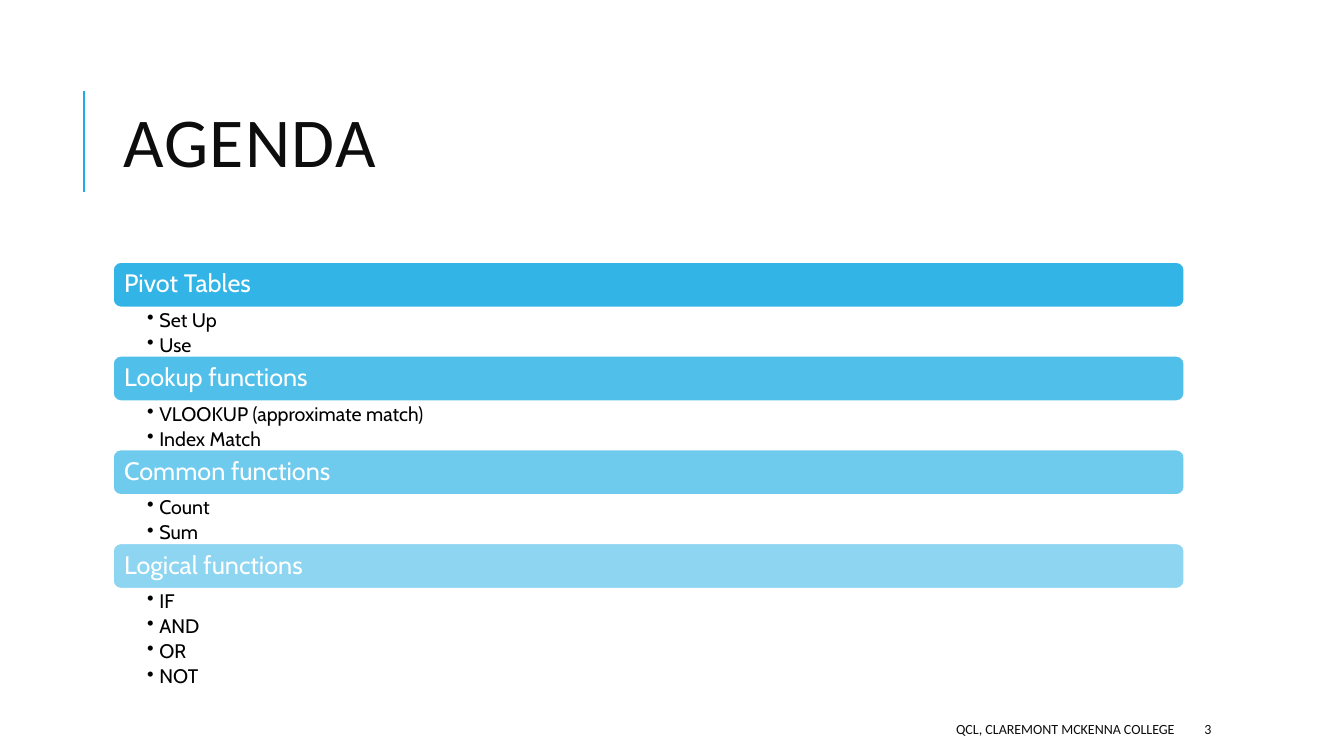
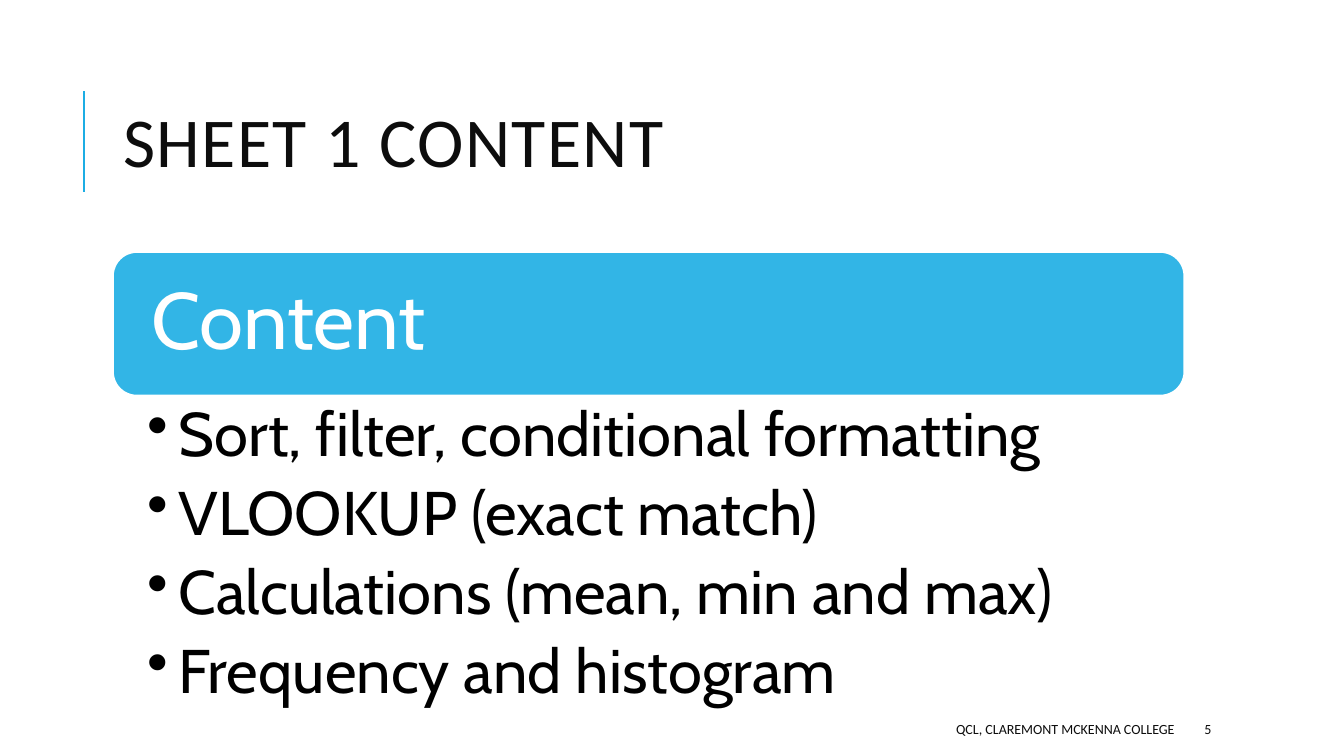
from dataclasses import dataclass

from lxml.etree import SubElement
from pptx import Presentation
from pptx.dml.color import RGBColor
from pptx.enum.shapes import MSO_CONNECTOR, MSO_SHAPE
from pptx.enum.text import MSO_ANCHOR, MSO_AUTO_SIZE, PP_ALIGN
from pptx.oxml.ns import qn
from pptx.util import Inches, Pt

COLUMNS, ROWS = 160, 90
CELL = Inches(1) // 12

BLUE = RGBColor(0x1C, 0xAD, 0xE4)
INK = RGBColor(0x0D, 0x0D, 0x0D)
BLACK = RGBColor(0, 0, 0)
WHITE = RGBColor(0xFF, 0xFF, 0xFF)
TITLE_FONT, BODY_FONT = "Calibri", "Cabin"

CONTENT_LEFT, CONTENT_WIDTH = 13.45, 127.55
FOOTER_TOP, FOOTER_HEIGHT = 85, 3.6
FOOTER = "QCL, CLAREMONT MCKENNA COLLEGE"


def cells(count):
    return round(count * CELL)


@dataclass
class ListStyle:
    """Measures of a list of headed sections, in grid cells and points."""
    top: float
    bar_height: float
    bar_inset: float
    bar_size: int
    item_height: float
    item_inset: float
    item_indent: float
    item_size: int


COMPACT = ListStyle(31.2, 5.4, 1.08, 18, 2.88, 0.36, 1.44, 14)
LARGE = ListStyle(30, 17.1, 3.72, 57, 8.91, 0.96, 3.72, 44)


class Deck:
    def __init__(self):
        self.presentation = Presentation()
        self.presentation.slide_width = cells(COLUMNS)
        self.presentation.slide_height = cells(ROWS)
        self.page = None

    def add_page(self, title, number):
        layout = self.presentation.slide_layouts.get_by_name("Title Only")
        self.page = self.presentation.slides.add_slide(layout)
        self.add_rule(10, 22.8, 10.8)
        self.add_title(title)
        self.add_footer(FOOTER, 63.6, 77.4, PP_ALIGN.RIGHT)
        self.add_footer(number, 142.2, 12.7, PP_ALIGN.LEFT)

    def add_rule(self, column, start, end):
        rule = self.page.shapes.add_connector(
            MSO_CONNECTOR.STRAIGHT, cells(column), cells(start), cells(column), cells(end))
        rule.line.color.rgb = BLUE
        rule.line.width = Pt(1.5)
        SubElement(rule.element.spPr, qn("a:effectLst"))

    def add_title(self, text):
        title = self.page.shapes.title
        title.left, title.top = cells(CONTENT_LEFT), cells(7.7)
        title.width, title.height = cells(CONTENT_WIDTH), cells(19.7)
        frame = self.format_frame(title, MSO_ANCHOR.MIDDLE)
        span = self.add_span(frame.paragraphs[0], text, TITLE_FONT, 50, INK, spacing=0.8)
        span.font._element.set("spc", "100")

    def add_footer(self, text, left, width, align):
        box = self.add_box(left, FOOTER_TOP, width, FOOTER_HEIGHT)
        frame = self.format_frame(box, MSO_ANCHOR.MIDDLE)
        self.add_span(frame.paragraphs[0], text, TITLE_FONT, 10, INK, align)

    def add_box(self, left, top, width, height):
        return self.page.shapes.add_textbox(
            cells(left), cells(top), cells(width), cells(height))

    def format_frame(self, shape, anchor):
        frame = shape.text_frame
        frame.word_wrap = True
        frame.auto_size = MSO_AUTO_SIZE.NONE
        frame.vertical_anchor = anchor
        return frame

    def add_span(self, para, text, font, size, color, align=PP_ALIGN.LEFT, spacing=1.0):
        para.alignment = align
        para.line_spacing = spacing
        span = para.add_run()
        span.text = text
        span.font.name = font
        span.font.size = Pt(size)
        span.font.color.rgb = color
        return span

    def add_bar(self, text, top, opacity, style):
        bar = self.page.shapes.add_shape(
            MSO_SHAPE.ROUNDED_RECTANGLE, cells(CONTENT_LEFT), cells(top),
            cells(CONTENT_WIDTH), cells(style.bar_height))
        bar.shadow.inherit = False
        bar.fill.solid()
        bar.fill.fore_color.rgb = BLUE
        color = bar.element.spPr.find(qn("a:solidFill"))[0]
        SubElement(color, qn("a:alpha"), val=str(round(opacity * 1000)))
        bar.line.color.rgb = WHITE
        bar.line.width = Pt(1.25)
        frame = self.format_frame(bar, MSO_ANCHOR.MIDDLE)
        frame.margin_left = frame.margin_right = cells(style.bar_inset)
        frame.margin_top = frame.margin_bottom = 0
        self.add_span(frame.paragraphs[0], text, BODY_FONT, style.bar_size, WHITE, spacing=0.9)

    def add_bullets(self, items, top, style):
        box = self.add_box(CONTENT_LEFT, top, CONTENT_WIDTH, len(items) * style.item_height)
        frame = self.format_frame(box, MSO_ANCHOR.TOP)
        frame.margin_left = cells(4.08)
        frame.margin_top = frame.margin_bottom = cells(style.item_inset)
        for index, item in enumerate(items):
            para = frame.add_paragraph() if index else frame.paragraphs[0]
            para.level = 1
            properties = para._p.get_or_add_pPr()
            indent = cells(style.item_indent)
            properties.set("marL", str(indent))
            properties.set("indent", str(-indent))
            SubElement(properties, qn("a:buChar"), char="•")
            para.space_after = Pt(round(style.item_size * 0.2, 1))
            self.add_span(para, item, BODY_FONT, style.item_size, BLACK, spacing=0.9)

    def add_sections(self, sections, style):
        """Stack bars and their bullets, fading the bars from 90 to 50 percent."""
        top = style.top
        fade = 40 / max(len(sections) - 1, 1)
        for index, (heading, items) in enumerate(sections.items()):
            self.add_bar(heading, top, 90 - index * fade, style)
            top += style.bar_height
            self.add_bullets(items, top, style)
            top += len(items) * style.item_height


def main():
    deck = Deck()
    deck.add_page("AGENDA", "3")
    deck.add_sections({
        "Pivot Tables": ["Set Up", "Use"],
        "Lookup functions": ["VLOOKUP (approximate match)", "Index Match"],
        "Common functions": ["Count", "Sum"],
        "Logical functions": ["IF", "AND", "OR", "NOT"],
    }, COMPACT)
    deck.add_page("SHEET 1 CONTENT", "5")
    deck.add_sections({
        "Content": [
            "Sort, filter, conditional formatting",
            "VLOOKUP (exact match)",
            "Calculations (mean, min and max)",
            "Frequency and histogram",
        ],
    }, LARGE)
    deck.presentation.save("out.pptx")


if __name__ == "__main__":
    main()
